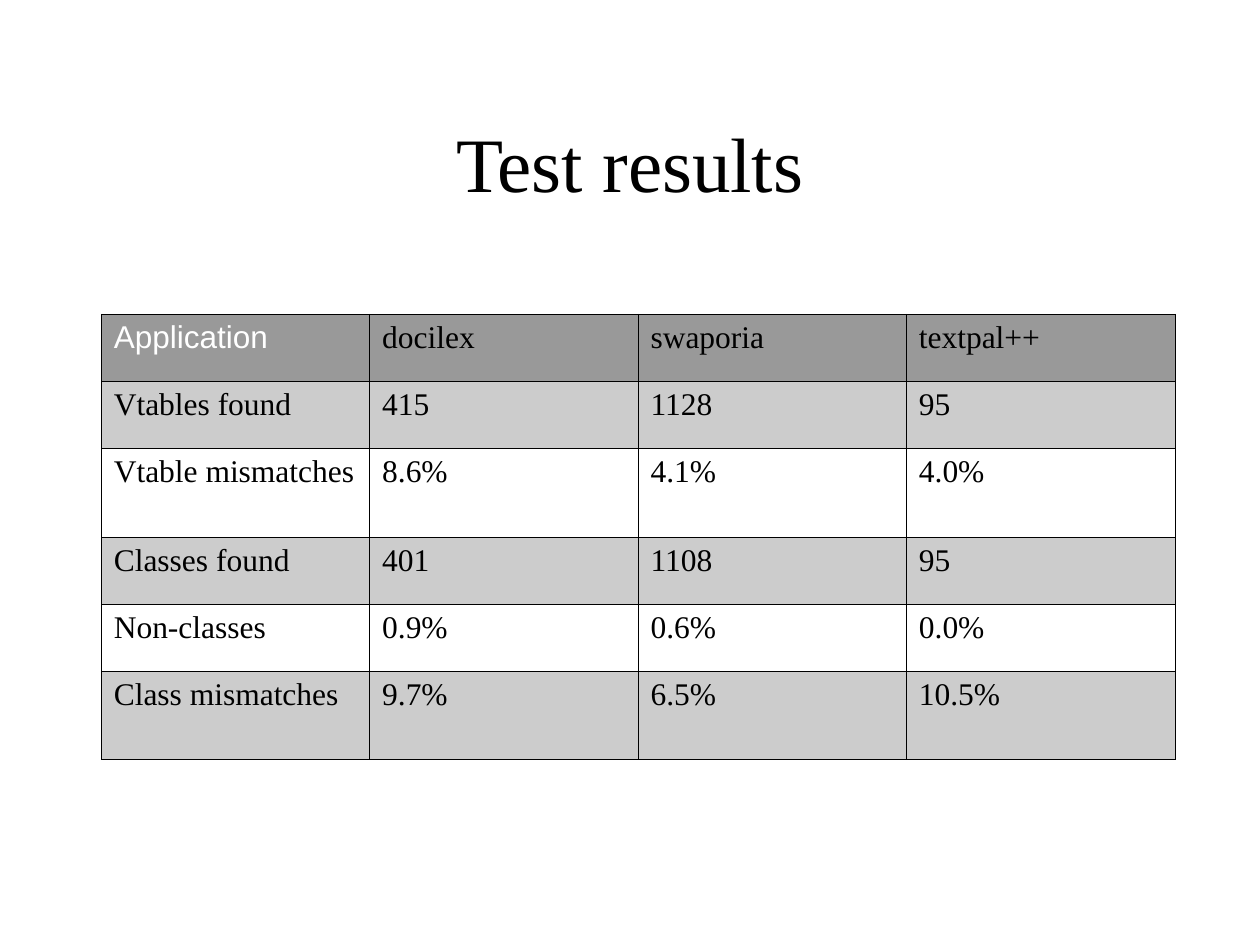
from lxml.etree import SubElement
from pptx import Presentation
from pptx.dml.color import RGBColor
from pptx.enum.text import MSO_ANCHOR, PP_ALIGN
from pptx.oxml.ns import qn
from pptx.util import Cm, Pt

COLORS = {"black": "000000", "white": "FFFFFF", "header": "999999", "band": "CCCCCC"}


def write(tf, text, size=18, font="Times New Roman", color="black", align=PP_ALIGN.LEFT):
    p = tf.paragraphs[0]
    p.alignment = align
    r = p.add_run()
    r.text = text
    r.font.size = Pt(size)
    r.font.name = font
    r.font.bold = False
    r.font.color.rgb = RGBColor.from_string(COLORS[color])


def add_borders(cell):
    tc_pr = cell._tc.get_or_add_tcPr()
    for side in ("lnL", "lnR", "lnT", "lnB"):
        ln = SubElement(tc_pr, qn(f"a:{side}"), w=str(Pt(0.06)))
        fill = SubElement(ln, qn("a:solidFill"))
        SubElement(fill, qn("a:srgbClr"), val=COLORS["black"])


prs = Presentation()
prs.slide_width, prs.slide_height = Cm(25.4), Cm(19.05)
s = prs.slides.add_slide(prs.slide_layouts[6])

title = s.shapes.add_textbox(Cm(1.9), Cm(1.55), Cm(21.6), Cm(3.43))
tf = title.text_frame
tf.word_wrap = True
tf.vertical_anchor = MSO_ANCHOR.MIDDLE
write(tf, "Test results", size=44, align=PP_ALIGN.CENTER)

results = [
    ("Application", "docilex", "swaporia", "textpal++"),
    ("Vtables found", "415", "1128", "95"),
    ("Vtable mismatches", "8.6%", "4.1%", "4.0%"),
    ("Classes found", "401", "1108", "95"),
    ("Non-classes", "0.9%", "0.6%", "0.0%"),
    ("Class mismatches", "9.7%", "6.5%", "10.5%"),
]
heights = [1.35, 1.35, 1.79] * 2
col_width = 5.41
table = s.shapes.add_table(
    len(results), 4, Cm(2.04), Cm(6.33), Cm(4 * col_width), Cm(sum(heights))
).table

for col in table.columns:
    col.width = Cm(col_width)

for i, values in enumerate(results):
    table.rows[i].height = Cm(heights[i])
    shade = "header" if i == 0 else "band" if i % 2 else "white"
    for j, value in enumerate(values):
        cell = table.cell(i, j)
        add_borders(cell)
        cell.fill.solid()
        cell.fill.fore_color.rgb = RGBColor.from_string(COLORS[shade])
        if i == j == 0:
            write(cell.text_frame, value, font="Arial", color="white")
        else:
            write(cell.text_frame, value)

prs.save("out.pptx")
